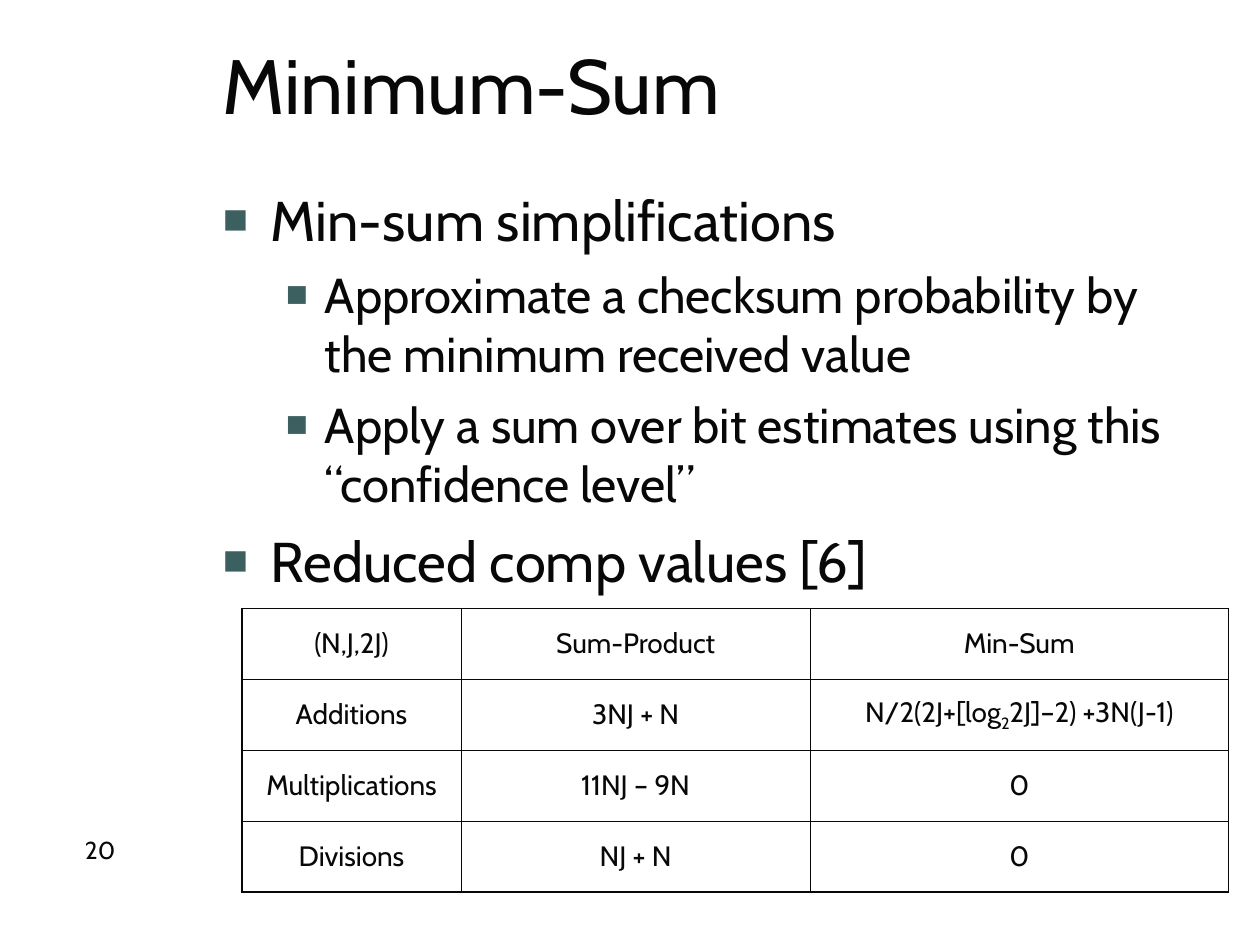
"""Build the Minimum-Sum slide with its bullets and complexity table."""
from lxml import etree
from pptx import Presentation
from pptx.dml.color import RGBColor
from pptx.enum.text import MSO_ANCHOR, PP_ALIGN
from pptx.oxml.ns import qn
from pptx.util import Inches, Pt

LEFT, CENTER = PP_ALIGN.LEFT, PP_ALIGN.CENTER
TOP, MIDDLE = MSO_ANCHOR.TOP, MSO_ANCHOR.MIDDLE
INK = RGBColor(0x08, 0x08, 0x08)
BULLET_COLOR = RGBColor(0x3C, 0x60, 0x5F)
FONT = "Cabin"

TITLE = "Minimum-Sum"
SLIDE_NUMBER = "20"
BULLETS = [
    (0, "Min-sum simplifications"),
    (1, "Approximate a checksum probability by the minimum received value"),
    (1, "Apply a sum over bit estimates using this “confidence level”"),
    (0, "Reduced comp values [6]"),
]
LEVELS = [
    {"size": 32, "space": 8, "margin": 0.38, "hang": 0.38},
    {"size": 28, "space": 7, "margin": 0.81, "hang": 0.31},
]
SUBSCRIPT = "2"
TABLE_ROWS = [
    ["(N,J,2J)", "Sum-Product", "Min-Sum"],
    ["Additions", "3NJ + N", ("N/2(2J+[log", SUBSCRIPT, "2J]–2) +3N(J-1)")],
    ["Multiplications", "11NJ – 9N", "0"],
    ["Divisions", "NJ + N", "0"],
]
COLUMN_WIDTHS = [1.74, 2.77, 3.32]
TABLE_LEFT, TABLE_TOP, TABLE_HEIGHT = 1.92, 4.83, 2.25
OUTER_LINE, INNER_LINE = Pt(1.08), Pt(0.45)


def add_run(paragraph, text, size):
    run = paragraph.add_run()
    run.text = text
    run.font.color.rgb = INK
    for name, value in {"name": FONT, "size": Pt(size)}.items():
        setattr(run.font, name, value)
    return run


def add_text_frame(slide, box, anchor):
    frame = slide.shapes.add_textbox(*map(Inches, box)).text_frame
    frame.word_wrap = True
    frame.vertical_anchor = anchor
    return frame


def add_line(slide, box, text, size, anchor, alignment):
    paragraph = add_text_frame(slide, box, anchor).paragraphs[0]
    paragraph.alignment = alignment
    add_run(paragraph, text, size)


def set_bullet(paragraph, margin, hang):
    properties = paragraph._p.get_or_add_pPr()
    properties.set("marL", str(Inches(margin)))
    properties.set("indent", str(-Inches(hang)))
    color = etree.SubElement(properties, qn("a:buClr"))
    etree.SubElement(color, qn("a:srgbClr"), val=str(BULLET_COLOR))
    etree.SubElement(properties, qn("a:buSzPct"), val="75000")
    etree.SubElement(properties, qn("a:buFont"), typeface="Arial")
    etree.SubElement(properties, qn("a:buChar"), char="■")


def add_bullets(slide, box):
    frame = add_text_frame(slide, box, TOP)
    for index, (level, text) in enumerate(BULLETS):
        style = LEVELS[level]
        paragraph = frame.add_paragraph() if index else frame.paragraphs[0]
        paragraph.level = level
        set_bullet(paragraph, style["margin"], style["hang"])
        if index:
            paragraph.space_before = Pt(style["space"])
        add_run(paragraph, text, style["size"])


def set_borders(cell, outer_sides):
    properties = cell._tc.get_or_add_tcPr()
    for index, side in enumerate("LRTB"):
        width = OUTER_LINE if side in outer_sides else INNER_LINE
        line = etree.Element(qn(f"a:ln{side}"), w=str(width))
        fill = etree.SubElement(line, qn("a:solidFill"))
        etree.SubElement(fill, qn("a:srgbClr"), val=str(INK))
        properties.insert(index, line)


def fill_cell(cell, content):
    cell.fill.background()
    cell.vertical_anchor = MIDDLE
    paragraph = cell.text_frame.paragraphs[0]
    paragraph.alignment = CENTER
    parts = (content,) if isinstance(content, str) else content
    for index, text in enumerate(parts):
        run = add_run(paragraph, text, 16)
        if index % 2:
            run._r.get_or_add_rPr().set("baseline", "-25000")


def add_complexity_table(slide):
    row_count, column_count = len(TABLE_ROWS), len(COLUMN_WIDTHS)
    table = slide.shapes.add_table(
        row_count, column_count, Inches(TABLE_LEFT), Inches(TABLE_TOP),
        Inches(sum(COLUMN_WIDTHS)), Inches(TABLE_HEIGHT)).table
    table.first_row = table.horz_banding = False
    for column, width in zip(table.columns, COLUMN_WIDTHS):
        column.width = Inches(width)
    for row_index, row in enumerate(TABLE_ROWS):
        for column_index, content in enumerate(row):
            edges = {"L": column_index == 0, "R": column_index == column_count - 1,
                     "T": row_index == 0, "B": row_index == row_count - 1}
            cell = table.cell(row_index, column_index)
            fill_cell(cell, content)
            set_borders(cell, [side for side, outer in edges.items() if outer])


def main():
    presentation = Presentation()
    presentation.slide_width, presentation.slide_height = Inches(10), Inches(7.5)
    slide = presentation.slides.add_slide(presentation.slide_layouts[6])
    add_line(slide, (1.67, 0.08, 7.33, 1.17), TITLE, 44, MIDDLE, LEFT)
    add_bullets(slide, (1.67, 1.42, 8.08, 5.75))
    add_complexity_table(slide)
    add_line(slide, (0.42, 6.58, 0.75, 0.33), SLIDE_NUMBER, 14, TOP, CENTER)
    presentation.save("out.pptx")


if __name__ == "__main__":
    main()
